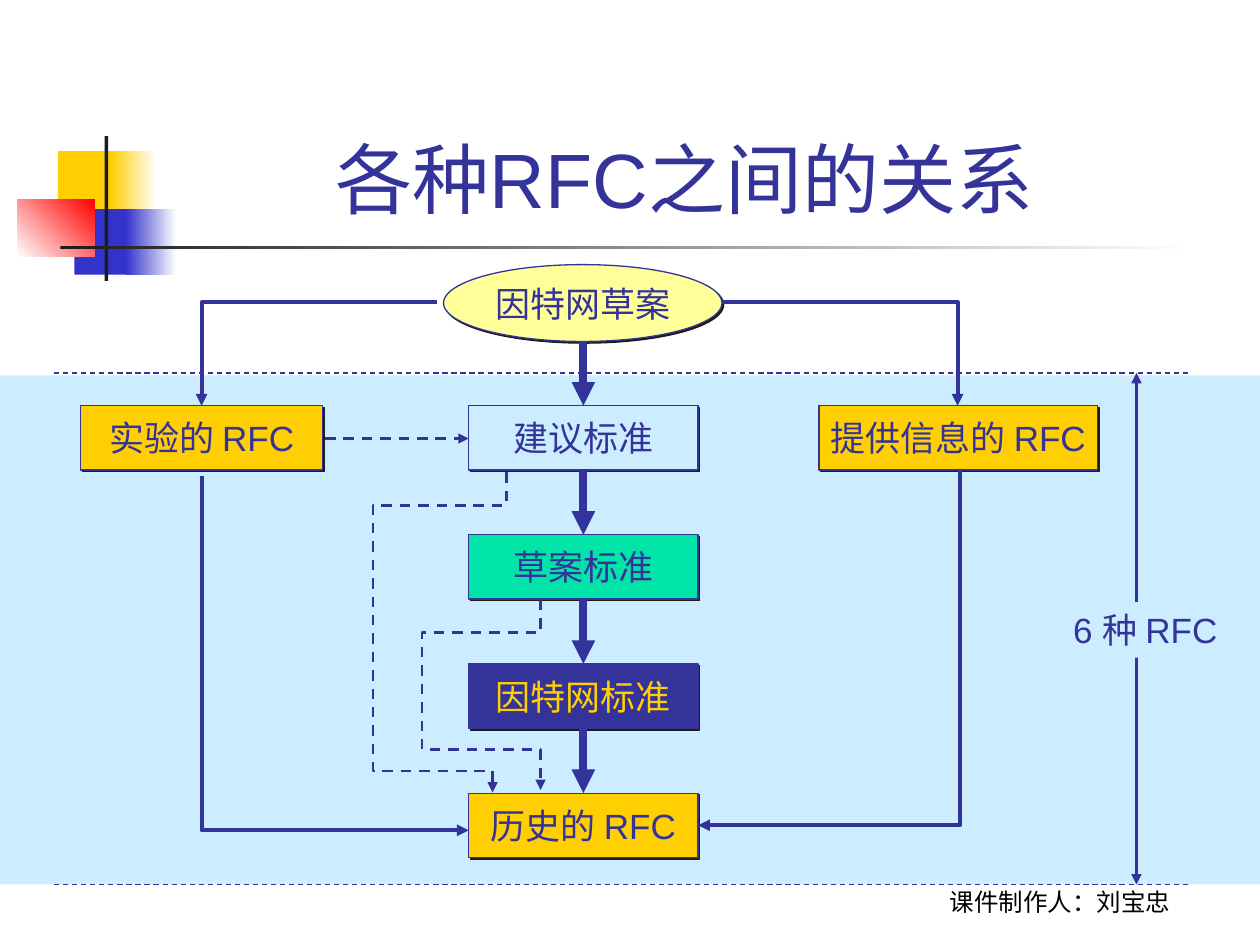
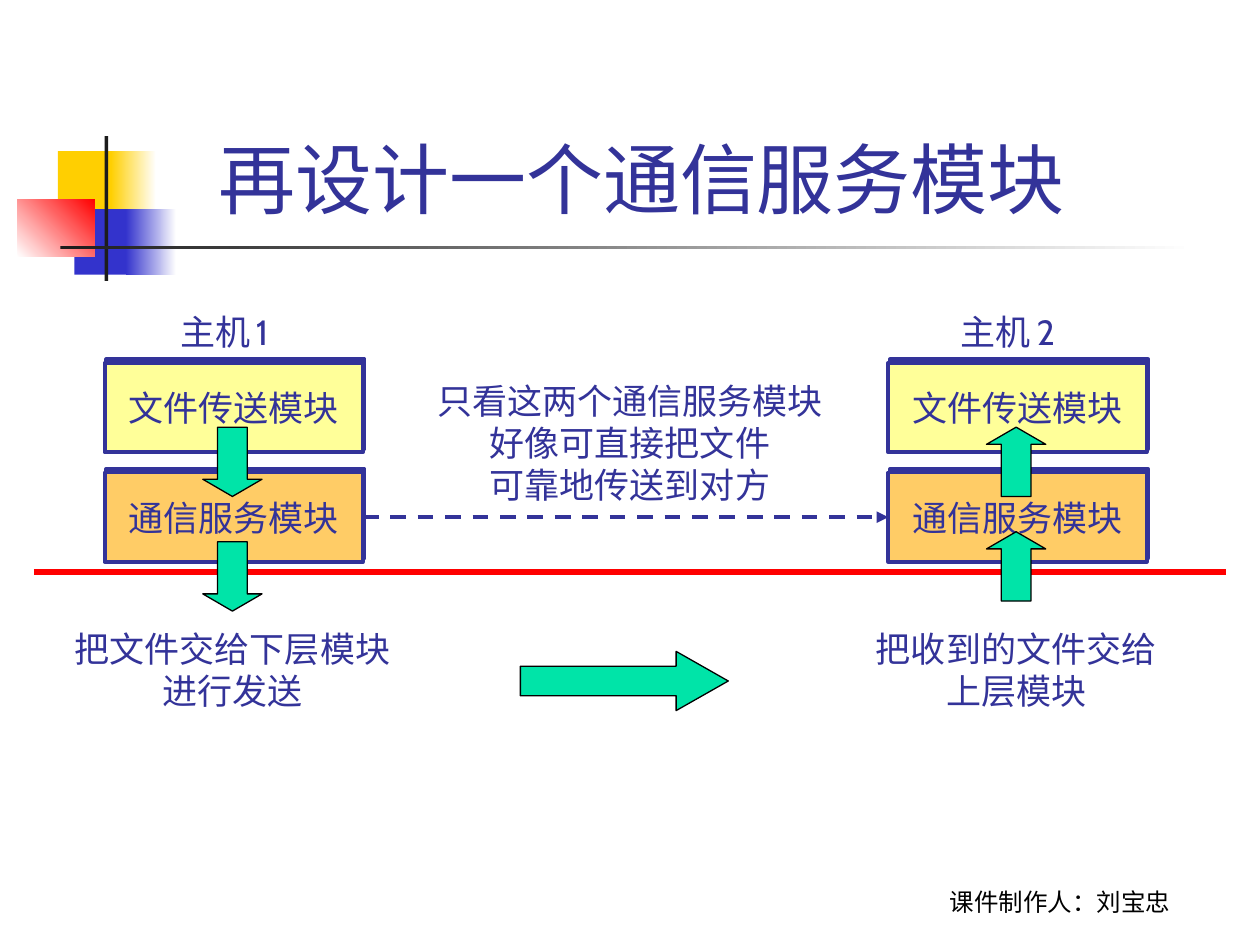
from dataclasses import dataclass

from lxml import etree
from pptx import Presentation
from pptx import util as u
from pptx.dml.color import RGBColor
from pptx.enum import dml, shapes, text
from pptx.oxml.ns import qn


@dataclass(frozen=True)
class Theme:
    ink: str = "333399"
    black: str = "000000"
    charcoal: str = "1C1C1C"
    white: str = "FFFFFF"
    gold: str = "FFCF01"
    blue: str = "3333CC"
    red: str = "FF0000"
    sky: str = "CCECFF"
    green: str = "00E4A8"
    cream: str = "FFFF99"
    orange: str = "FFCC66"
    main_font: str = "Arial"
    note_font: str = "Cabin"
    title_size: int = 44
    body_size: int = 20
    small_size: int = 14


THEME = Theme()
WIDTH, HEIGHT = 10, 7.5
RECT = shapes.MSO_SHAPE.RECTANGLE
FOOTER = "课件制作人：刘宝忠"

LOGO_BLOCKS = [
    ((0.46, 1.2, 0.48, 0.52), [THEME.gold], 0),
    ((0.88, 1.2, 0.36, 0.52), [THEME.gold, THEME.white], 0),
    ((0.59, 1.66, 0.46, 0.52), [THEME.blue], 0),
    ((1, 1.66, 0.4, 0.52), [THEME.blue, THEME.white], 0),
    ((0.14, 1.58, 0.61, 0.46), [THEME.white, THEME.red], 45),
    ((0.83, 1.08, 0.03, 1.15), [THEME.charcoal], 0),
    ((0.48, 1.95, 9, 0.03), [THEME.charcoal, THEME.white], 0),
]

RFC_TITLE = "各种RFC之间的关系"
DRAFT = "因特网草案"
STANDARD_TRACK = [
    ("建议标准", THEME.sky, THEME.ink),
    ("草案标准", THEME.green, THEME.ink),
    ("因特网标准", THEME.ink, THEME.gold),
    ("历史的 RFC", THEME.gold, THEME.ink),
]
SIDE_RFCS = [("实验的 RFC", 0.64, 1.92), ("提供信息的 RFC", 6.5, 2.21)]
RFC_COUNT = "6 种 RFC"

MODULE_TITLE = "再设计一个通信服务模块"
MODULES = [("文件传送模块", THEME.cream), ("通信服务模块", THEME.orange)]
HOSTS = [
    ("1", ["把文件交给下层模块", "进行发送"], shapes.MSO_SHAPE.DOWN_ARROW, (3.39, 4.3)),
    ("2", ["把收到的文件交给", "上层模块"], shapes.MSO_SHAPE.UP_ARROW, (3.39, 4.22)),
]
PEER_NOTE = ["只看这两个通信服务模块", "好像可直接把文件", "可靠地传送到对方"]


def inches(*lengths):
    return [u.Inches(length) for length in lengths]


def color(code):
    return RGBColor.from_string(code)


def style_line(shape, code, weight, dashed=False, head=False, tail=False):
    shape.line.color.rgb = color(code)
    shape.line.width = u.Pt(weight)
    if dashed:
        shape.line.dash_style = dml.MSO_LINE.DASH
    outline = shape.element.spPr.find(qn("a:ln"))
    for end, wanted in (("a:headEnd", head), ("a:tailEnd", tail)):
        if wanted:
            etree.SubElement(outline, qn(end), type="triangle")


def add_block(page, place, fills, kind=RECT, line=None, angle=0):
    shape = page.shapes.add_shape(kind, *inches(*place))
    shape.shadow.inherit = False
    if len(fills) == 1:
        shape.fill.solid()
        shape.fill.fore_color.rgb = color(fills[0])
    else:
        shape.fill.gradient()
        shape.fill.gradient_angle = angle
        for stop, code in zip(shape.fill.gradient_stops, fills):
            stop.color.rgb = color(code)
    if line:
        style_line(shape, *line)
    else:
        shape.line.fill.background()
    return shape


def cast_shadow(shape, code, distance, degrees):
    effects = shape.element.spPr.find(qn("a:effectLst"))
    shadow = etree.SubElement(
        effects, qn("a:outerShdw"), blurRad="0", dist=str(u.Pt(distance)),
        dir=str(degrees * 60000), algn="ctr", rotWithShape="0")
    etree.SubElement(shadow, qn("a:srgbClr"), val=code)


def write(shape, lines, font=THEME.main_font, size=THEME.body_size, code=THEME.ink,
          anchor=text.MSO_ANCHOR.MIDDLE, wrap=False):
    frame = shape.text_frame
    frame.word_wrap = wrap
    frame.auto_size = text.MSO_AUTO_SIZE.NONE
    frame.vertical_anchor = anchor
    frame.text = "\n".join(lines)
    for para in frame.paragraphs:
        para.alignment = text.PP_ALIGN.CENTER
        para.font.name = font
        para.font.size = u.Pt(size)
        para.font.color.rgb = color(code)
    return frame


def add_label(page, place, lines, **style):
    return write(page.shapes.add_textbox(*inches(*place)), lines, **style)


def add_line(page, start, end, code, weight, **ends):
    line = page.shapes.add_connector(
        shapes.MSO_CONNECTOR.STRAIGHT, *inches(*start, *end))
    style_line(line, code, weight, **ends)
    etree.SubElement(line.element.spPr, qn("a:effectLst"))


def add_route(page, points, weight, dashed=False):
    corners = [inches(*point) for point in points]
    builder = page.shapes.build_freeform(*corners[0])
    builder.add_line_segments(corners[1:], close=False)
    route = builder.convert_to_shape()
    route.shadow.inherit = False
    route.fill.background()
    style_line(route, THEME.ink, weight, dashed, tail=True)


def add_page(deck, title, title_width):
    page = deck.slides.add_slide(deck.slide_layouts[5])
    for place, fills, angle in LOGO_BLOCKS:
        add_block(page, place, fills, angle=angle)
    add_label(page, (6.83, 6.82, 3.17, 0.5), [FOOTER], font=THEME.note_font,
              size=THEME.small_size, code=THEME.black, anchor=text.MSO_ANCHOR.BOTTOM)
    box = page.shapes.title
    box.left, box.top, box.width, box.height = inches(1.26, 0.23, title_width, 1.6)
    frame = write(box, [title], size=THEME.title_size,
                  anchor=text.MSO_ANCHOR.BOTTOM, wrap=True)
    frame.margin_right = u.Inches(0.27)
    return page


def build_rfc_page(deck):
    page = add_page(deck, RFC_TITLE, 8.52)
    band_top, band_bottom = 2.96, 7.02
    add_block(page, (0, 2.98, WIDTH, 4.04), [THEME.sky])

    track_left, track_width, box_height = 3.72, 1.82, 0.51
    first_top, pitch = 3.22, 1.025
    axis = track_left + track_width / 2
    tops = [first_top + pitch * row for row in range(len(STANDARD_TRACK))]
    draft_place = (3.52, 2.1, 2.21, 0.61)

    boxes = [(name, (track_left, top, track_width, box_height), fill, ink, RECT)
             for top, (name, fill, ink) in zip(tops, STANDARD_TRACK)]
    boxes += [(name, (left, first_top, width, box_height), THEME.gold, THEME.ink, RECT)
              for name, left, width in SIDE_RFCS]
    boxes.append((DRAFT, draft_place, THEME.cream, THEME.ink, shapes.MSO_SHAPE.OVAL))
    for name, place, fill, ink, kind in boxes:
        box = add_block(page, place, [fill], kind, (THEME.ink, 0.75))
        cast_shadow(box, THEME.charcoal, 1.4, 45)
        write(box, [name], code=ink)

    bottoms = [draft_place[1] + draft_place[3]] + [top + box_height for top in tops]
    for bottom, top in zip(bottoms, tops):
        add_line(page, (axis, bottom), (axis, top), THEME.ink, 4.5, tail=True)

    left_axis, right_axis, draft_middle = 1.6, 7.6, 2.4
    track_right = track_left + track_width
    solid_routes = [
        [(5.73, draft_middle), (right_axis, draft_middle), (right_axis, first_top)],
        [(3.47, draft_middle), (left_axis, draft_middle), (left_axis, first_top)],
        [(left_axis, 3.78), (left_axis, 6.59), (track_left, 6.59)],
        [(7.62, 3.73), (7.62, 6.55), (track_right, 6.55)],
    ]
    dashed_routes = [
        [(2.58, 3.48), (track_left, 3.48)],
        [(4.02, 3.75), (4.02, 4.01), (2.96, 4.01), (2.96, 6.12), (3.91, 6.12), (3.91, 6.29)],
        [(4.29, 4.76), (4.29, 5.02), (3.35, 5.02), (3.35, 5.95), (4.29, 5.95), (4.29, 6.27)],
    ]
    for points in solid_routes:
        add_route(page, points, 2.25)
    start, end = dashed_routes[0]
    add_line(page, start, end, THEME.ink, 1.5, dashed=True, tail=True)
    for points in dashed_routes[1:]:
        add_route(page, points, 1.5, dashed=True)

    for edge in (band_top, band_bottom):
        add_line(page, (0.43, edge), (9.44, edge), THEME.ink, 0.75, dashed=True)
    add_line(page, (9.02, band_top), (9.02, band_bottom), THEME.ink, 1.5,
             head=True, tail=True)
    write(add_block(page, (8.35, 4.78, 1.48, 0.44), [THEME.sky]), [RFC_COUNT])


def add_flow_arrow(page, kind, place, head_share):
    arrow = add_block(page, place, [THEME.green], kind, (THEME.black, 0.75))
    arrow.adjustments[0] = 0.5
    arrow.adjustments[1] = head_share


def build_module_page(deck):
    page = add_page(deck, MODULE_TITLE, 7.84)
    first_left, host_pitch, module_width = 0.83, 6.22, 2.05
    first_top, module_pitch, module_height = 2.88, 0.87, 0.71
    lefts = [first_left + host_pitch * column for column in range(len(HOSTS))]
    note_style = {"font": THEME.note_font}

    for left, (number, caption, _, _) in zip(lefts, HOSTS):
        for row, (name, fill) in enumerate(MODULES):
            place = (left, first_top + module_pitch * row, module_width, module_height)
            box = add_block(page, place, [fill], line=(THEME.ink, 2.25))
            cast_shadow(box, THEME.ink, 2.2, 296)
            write(box, [name], **note_style)
        label = add_label(page, (left + 0.45, 2.41, 1, 0.44), ["主机"], **note_style)
        gap, digit = (label.paragraphs[0].add_run() for _ in range(2))
        gap.text, digit.text = " ", number
        gap.font.size = u.Pt(THEME.small_size)
        add_label(page, (left - 0.26, 4.93, 2.55, 0.77), caption, **note_style)

    link_height = first_top + module_pitch + module_height / 2
    add_line(page, (lefts[0] + module_width, link_height), (lefts[1], link_height),
             THEME.ink, 2.25, dashed=True, tail=True)
    add_label(page, (3.37, 2.96, 3.26, 1.1), PEER_NOTE, **note_style)
    add_line(page, (0.27, 4.54), (9.73, 4.54), THEME.red, 3)

    for left, (_, _, kind, arrow_tops) in zip(lefts, HOSTS):
        for top in arrow_tops:
            add_flow_arrow(page, kind, (left + 0.78, top, 0.47, 0.55), 0.29)
    add_flow_arrow(page, shapes.MSO_SHAPE.RIGHT_ARROW, (4.13, 5.17, 1.65, 0.47), 0.88)


def main():
    deck = Presentation()
    deck.slide_width, deck.slide_height = inches(WIDTH, HEIGHT)
    build_rfc_page(deck)
    build_module_page(deck)
    deck.save("out.pptx")


if __name__ == "__main__":
    main()
